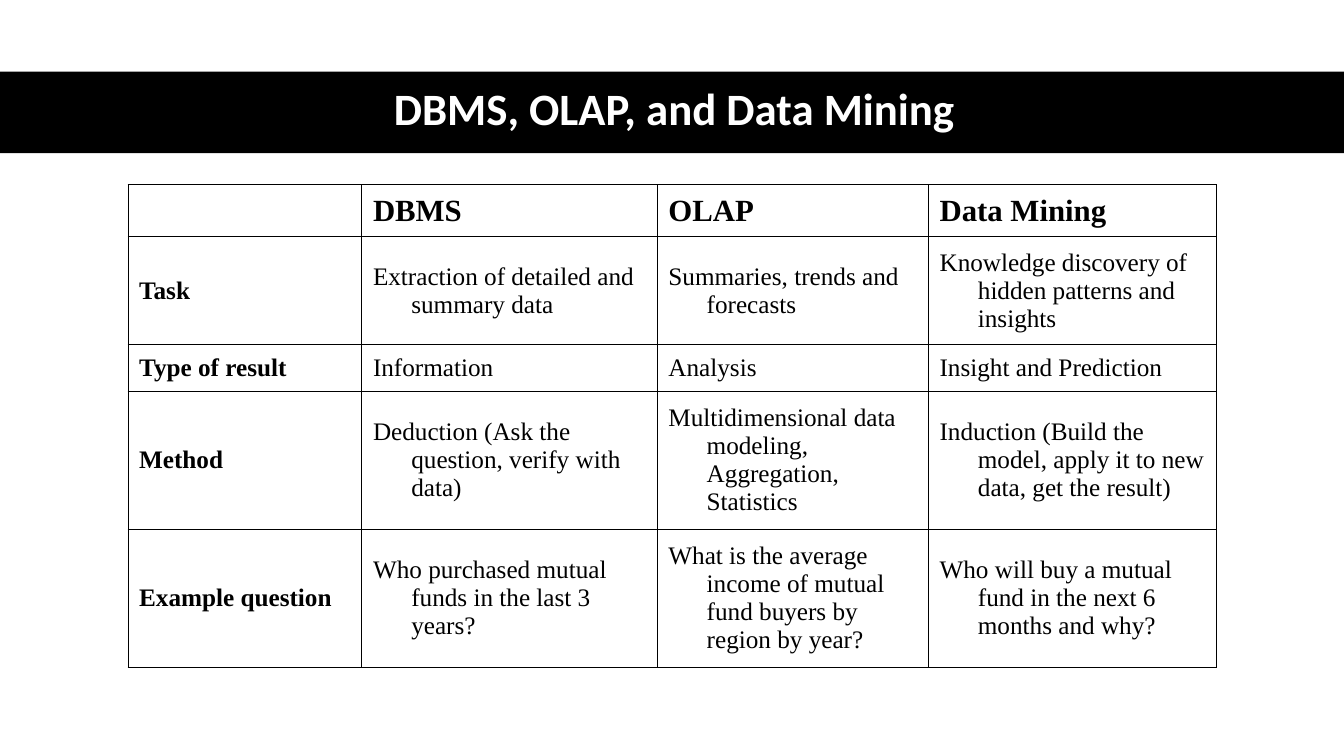
from lxml import etree
from pptx import Presentation
from pptx import util as u
from pptx.dml.color import RGBColor
from pptx.enum import shapes, text
from pptx.oxml import ns

COLORS = {"ink": "000000", "paper": "FFFFFF"}
WIDTH, HEIGHT = 13.33, 7.5
TITLE_ONLY = 5

COLUMN_WIDTHS = [2.32, 2.93, 2.69, 2.86]
ROW_HEIGHTS = [0.52, 1.07, 0.46, 1.37, 1.37]
COMPARISON = [
    ["", "DBMS", "OLAP", "Data Mining"],
    ["Task", "Extraction of detailed and summary data",
     "Summaries, trends and forecasts",
     "Knowledge discovery of hidden patterns and insights"],
    ["Type of result", "Information", "Analysis", "Insight and Prediction"],
    ["Method", "Deduction (Ask the question, verify with data)",
     "Multidimensional data modeling, Aggregation, Statistics",
     "Induction (Build the model, apply it to new data, get the result)"],
    ["Example question", "Who purchased mutual funds in the last 3 years?",
     "What is the average income of mutual fund buyers by region by year?",
     "Who will buy a mutual fund in the next 6 months and why?"],
]


class SlideBuilder:
    """Holds the style and the current slide; positions are slide shares."""

    title_font = "Calibri"
    table_font = "Times New Roman"
    hanging = u.Inches(0.38)

    def __init__(self, presentation):
        self.slide = presentation.slides.add_slide(
            presentation.slide_layouts[TITLE_ONLY])
        self.width = presentation.slide_width
        self.height = presentation.slide_height

    def box(self, left, top, width, height):
        return (round(left * self.width), round(top * self.height),
                round(width * self.width), round(height * self.height))

    def format_runs(self, paragraph, font, size, color, bold):
        for run in paragraph.runs:
            run.font.name = font
            run.font.size = u.Pt(size)
            run.font.bold = bold
            run.font.color.rgb = RGBColor.from_string(COLORS[color])

    def band(self, *shares):
        shape = self.slide.shapes.add_shape(
            shapes.MSO_SHAPE.RECTANGLE, *self.box(*shares))
        shape.shadow.inherit = False
        shape.fill.solid()
        shape.fill.fore_color.rgb = RGBColor.from_string(COLORS["ink"])
        shape.line.fill.background()
        # Keep the band behind the title
        self.slide.shapes.title._element.addprevious(shape._element)

    def title(self, wording, *shares):
        shape = self.slide.shapes.title
        shape.left, shape.top, shape.width, shape.height = self.box(*shares)
        frame = shape.text_frame
        frame.text = wording
        frame.vertical_anchor = text.MSO_ANCHOR.MIDDLE
        paragraph = frame.paragraphs[0]
        paragraph.alignment = text.PP_ALIGN.CENTER
        paragraph.line_spacing = 0.9
        self.format_runs(paragraph, self.title_font, 32, "paper", True)

    def table(self, rows, column_widths, row_heights, *shares):
        table = self.slide.shapes.add_table(
            len(rows), len(column_widths), *self.box(*shares)).table
        table.first_row = table.horz_banding = False
        for column, width in zip(table.columns, column_widths):
            column.width = u.Inches(width)
        for row, height in zip(table.rows, row_heights):
            row.height = u.Inches(height)
        for r, wordings in enumerate(rows):
            for c, wording in enumerate(wordings):
                self.cell(table.cell(r, c), wording, 18 if r else 22,
                          r == 0 or c == 0)

    def cell(self, cell, wording, size, bold):
        cell.text_frame.text = wording
        cell.vertical_anchor = text.MSO_ANCHOR.MIDDLE
        cell.margin_left = cell.margin_right = u.Inches(0.11)
        cell.margin_top = cell.margin_bottom = u.Inches(0.06)
        paragraph = cell.text_frame.paragraphs[0]
        self.format_runs(paragraph, self.table_font, size, "ink", bold)
        properties = paragraph._p.get_or_add_pPr()
        properties.set("marL", str(self.hanging))
        properties.set("indent", str(-self.hanging))
        self.borders(cell)
        cell.fill.background()

    def borders(self, cell):
        properties = cell._tc.get_or_add_tcPr()
        for side in ("a:lnL", "a:lnR", "a:lnT", "a:lnB"):
            line = etree.SubElement(properties, ns.qn(side), w=str(u.Pt(0.75)))
            fill = etree.SubElement(line, ns.qn("a:solidFill"))
            etree.SubElement(fill, ns.qn("a:srgbClr"), val=COLORS["ink"])


def main():
    presentation = Presentation()
    presentation.slide_width = u.Inches(WIDTH)
    presentation.slide_height = u.Inches(HEIGHT)
    builder = SlideBuilder(presentation)

    # Title on a full-width band
    builder.band(0, 0.71 / HEIGHT, 1, 0.81 / HEIGHT)
    builder.title("DBMS, OLAP, and Data Mining ", 0.61 / WIDTH, 0.7 / HEIGHT,
                  12.26 / WIDTH, 0.81 / HEIGHT)

    # Comparison table
    builder.table(COMPARISON, COLUMN_WIDTHS, ROW_HEIGHTS,
                  1.27 / WIDTH, 1.83 / HEIGHT, sum(COLUMN_WIDTHS) / WIDTH,
                  sum(ROW_HEIGHTS) / HEIGHT)

    presentation.save("out.pptx")


if __name__ == "__main__":
    main()
